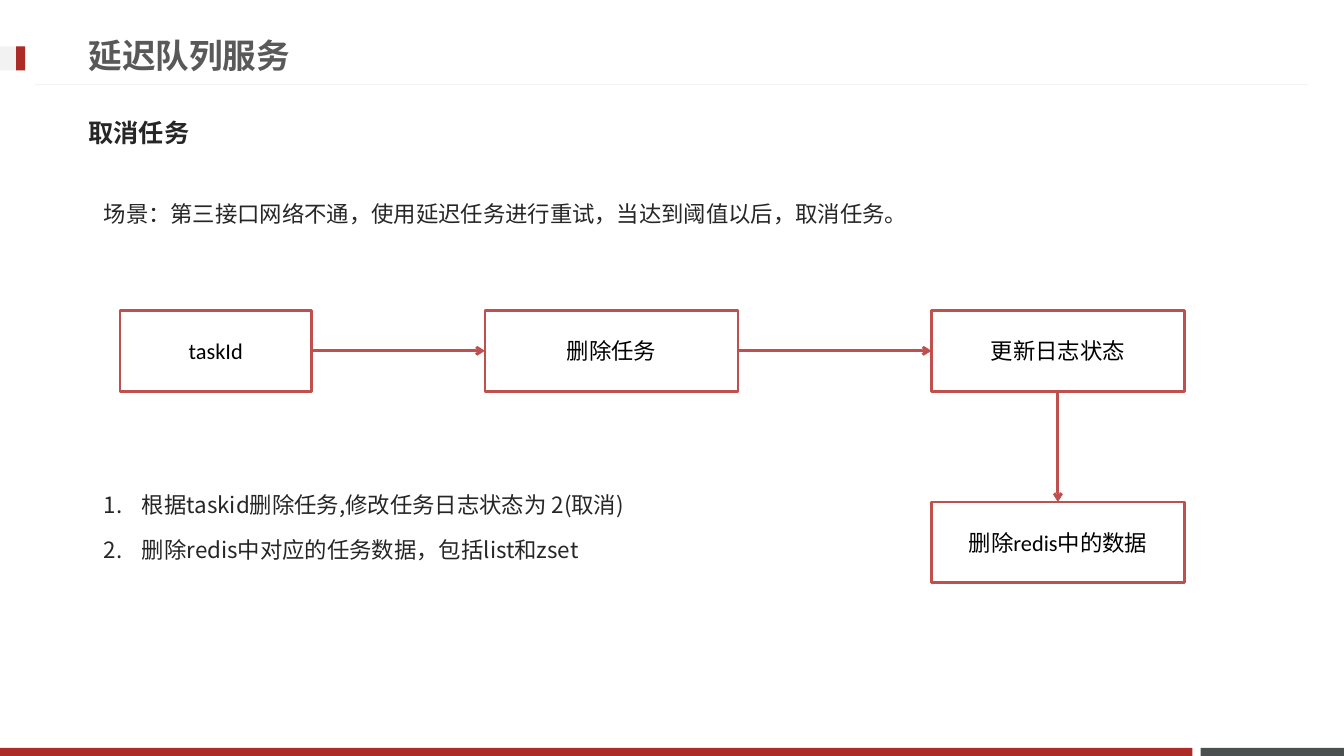
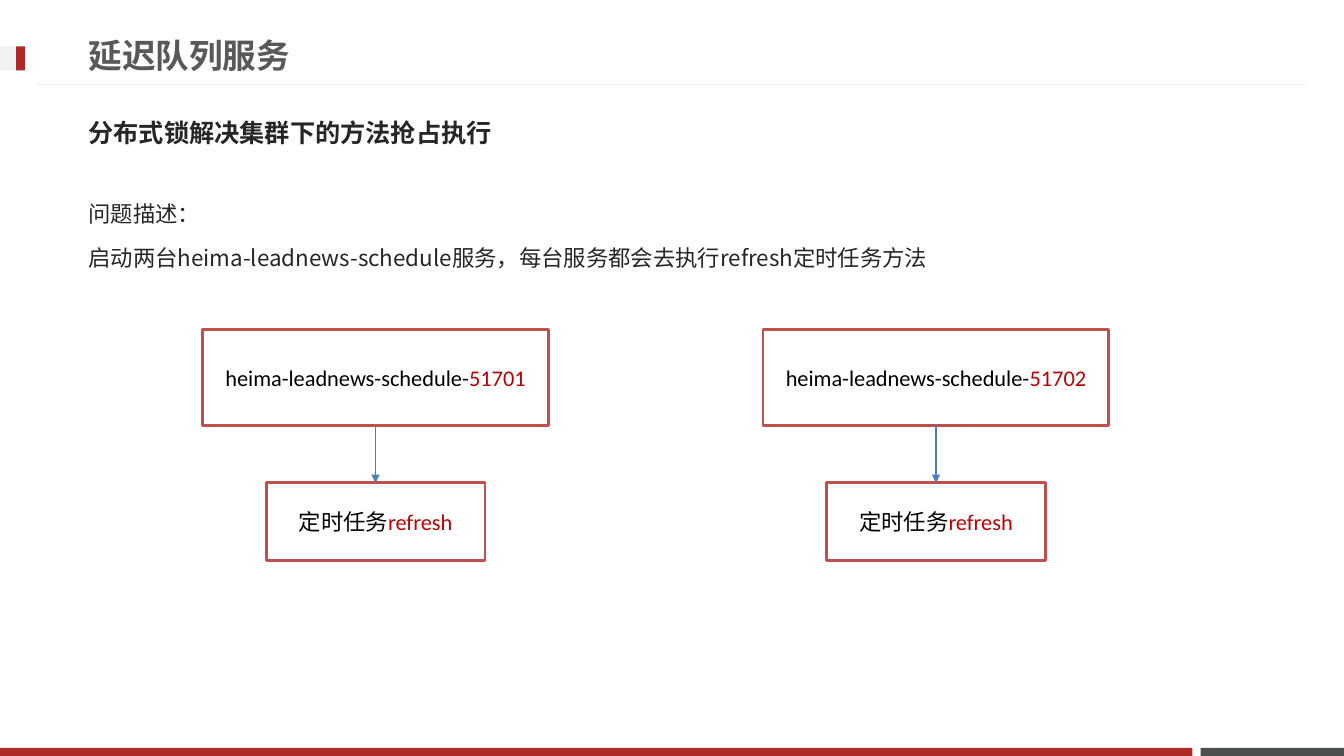
from lxml import etree
from pptx import Presentation
from pptx import util as u
from pptx.dml.color import RGBColor
from pptx.enum import shapes, text
from pptx.oxml import ns

COLORS = {
    "red": "AD2B26", "slate": "49504F", "pale": "F2F2F2", "title": "595959",
    "body": "262626", "white": "FFFFFF", "black": "000000", "border": "C0504D",
    "blue": "4B7EBC", "port": "B60206", "method": "C00000",
}
W, H = u.Inches(13.333), u.Inches(7.5)
CJK = "Noto Sans CJK JP"
MARGIN, INDENT = 5.85, 6.98
TOP, LEFT, BOTTOM, RIGHT = range(4)


def rgb(name):
    """Return a palette colour."""
    return RGBColor.from_string(COLORS[name])


def place(*shares):
    """Turn percentages of the slide's width and height into lengths."""
    return [round(v * (H if i % 2 else W) / 100) for i, v in enumerate(shares)]


def style_run(r, size, color, font=CJK, bold=False):
    """Format one run, with a matching East Asian font."""
    r.font.size, r.font.bold, r.font.name = u.Pt(size), bold, font
    r.font.color.rgb = rgb(color)
    ea = etree.SubElement(r.font._element, ns.qn("a:ea"))
    ea.set("typeface", CJK)


def add_bar(s, color, *shares):
    """Draw a plain filled rectangle."""
    sp = s.shapes.add_shape(shapes.MSO_SHAPE.RECTANGLE, *place(*shares))
    sp.shadow.inherit = False
    sp.fill.solid()
    sp.fill.fore_color.rgb = rgb(color)
    sp.line.fill.background()
    return sp


def add_box(s, runs, *shares):
    """Draw a bordered flowchart box with coloured runs."""
    sp = add_bar(s, "white", *shares)
    sp.line.color.rgb = rgb("border")
    sp.line.width = u.Pt(2)
    tf = sp.text_frame
    tf.word_wrap = True
    tf.vertical_anchor = text.MSO_ANCHOR.MIDDLE
    p = tf.paragraphs[0]
    p.alignment = text.PP_ALIGN.CENTER
    for words, color in runs:
        r = p.add_run()
        r.text = words
        style_run(r, 16, color, "Calibri")
    return sp


def add_line(s, color, width, *shares):
    """Draw a straight line without shadow."""
    c = s.shapes.add_connector(shapes.MSO_CONNECTOR.STRAIGHT, *place(*shares))
    c.line.color.rgb = rgb(color)
    c.line.width = u.Pt(width)
    etree.SubElement(c._element.spPr, ns.qn("a:effectLst"))
    return c


def add_arrow(s, start, end, sides, color="border", width=2, head="arrow"):
    """Join the given sides of two boxes with an arrow."""
    c = add_line(s, color, width, 0, 0, 0, 0)
    c.begin_connect(start, sides[0])
    c.end_connect(end, sides[1])
    tail = etree.SubElement(c.line._get_or_add_ln(), ns.qn("a:tailEnd"))
    tail.set("type", head)


def add_heading(s, words, size, color, font, *shares):
    """Add a bold, vertically centred heading."""
    tf = s.shapes.add_textbox(*place(*shares)).text_frame
    tf.word_wrap = True
    tf.vertical_anchor = text.MSO_ANCHOR.MIDDLE
    tf.text = words
    style_run(tf.paragraphs[0].runs[0], size, color, font, True)


def number(p):
    """Turn a paragraph into a numbered list item."""
    pPr = p._p.get_or_add_pPr()
    pPr.set("marL", str(u.Inches(0.38)))
    pPr.set("indent", str(-u.Inches(0.38)))
    etree.SubElement(pPr, ns.qn("a:buFont")).set("typeface", "+mj-lt")
    etree.SubElement(pPr, ns.qn("a:buAutoNum")).set("type", "arabicPeriod")


def add_body(s, lines, *shares, numbered=False):
    """Add body paragraphs, optionally numbered."""
    tf = s.shapes.add_textbox(*place(*shares)).text_frame
    tf.word_wrap = True
    for i, words in enumerate(lines):
        p = tf.add_paragraph() if i else tf.paragraphs[0]
        p.text = words
        if numbered:
            number(p)
        p.line_spacing = 1.5
        p.space_before = u.Pt(3.2 if i else 0)
        style_run(p.runs[0], 16, "body")


def add_slide(prs, subtitle):
    """Add a slide with the shared bands, title and a subtitle."""
    s = prs.slides.add_slide(prs.slide_layouts[6])
    add_bar(s, "slate", 89.33, 98.93, 10.67, 1.07)
    add_bar(s, "red", 0, 98.93, 88.73, 1.07)
    add_line(s, "pale", 0.75, 97.35, 11.2, 2.63, 11.2)
    add_bar(s, "pale", 0, 6.13, 1.88, 3.2)
    add_bar(s, "red", 1.2, 6.13, 0.68, 3.2)
    add_heading(s, "延迟队列服务", 24, "title", "Arial", MARGIN, 3.47, 71.93, 7.6)
    add_heading(s, subtitle, 18, "body", CJK, MARGIN, 13.73, 87.75, 7.6)
    return s


def cancel_slide(prs):
    """Build the task cancelling flow."""
    s = add_slide(prs, "取消任务")
    add_body(s, ["场景：第三接口网络不通，使用延迟任务进行重试，当达到阈值以后，取消任务。"],
             INDENT, 24, 83.3, 10.27)
    row, low_row, height = 41.07, 66.4, 10.67
    steps = [("taskId", 8.93, row, 14.25), ("删除任务", 36.08, row, 18.83),
             ("更新日志状态", 69.3, row, 18.83), ("删除redis中的数据", 69.3, low_row, 18.83)]
    boxes = [add_box(s, [(words, "black")], x, y, w, height) for words, x, y, w in steps]
    turns = [(RIGHT, LEFT), (RIGHT, LEFT), (BOTTOM, TOP)]
    for start, end, sides in zip(boxes, boxes[1:], turns):
        add_arrow(s, start, end, sides)
    add_body(s, ["根据taskid删除任务,修改任务日志状态为 2(取消)",
                 "删除redis中对应的任务数据，包括list和zset"],
             INDENT, 62.53, 52.88, 16.27, numbered=True)


def lock_slide(prs):
    """Build the two competing services."""
    s = add_slide(prs, "分布式锁解决集群下的方法抢占执行")
    add_body(s, ["问题描述：",
                 "启动两台heima-leadnews-schedule服务，每台服务都会去执行refresh定时任务方法"],
             MARGIN, 24, 87.75, 14)
    service_w, task_w = 25.73, 16.28
    for x, port in ((15.08, "51701"), (56.78, "51702")):
        service = add_box(s, [("heima-leadnews-schedule-", "black"), (port, "port")],
                          x, 43.6, service_w, 12.67)
        task = add_box(s, [("定时任务", "black"), ("refresh", "method")],
                       x + (service_w - task_w) / 2, 63.87, task_w, 10.27)
        add_arrow(s, service, task, (BOTTOM, TOP), "blue", 0.75, "triangle")


def main():
    """Build and save the presentation."""
    prs = Presentation()
    prs.slide_width, prs.slide_height = W, H
    cancel_slide(prs)
    lock_slide(prs)
    prs.save("out.pptx")


if __name__ == "__main__":
    main()
